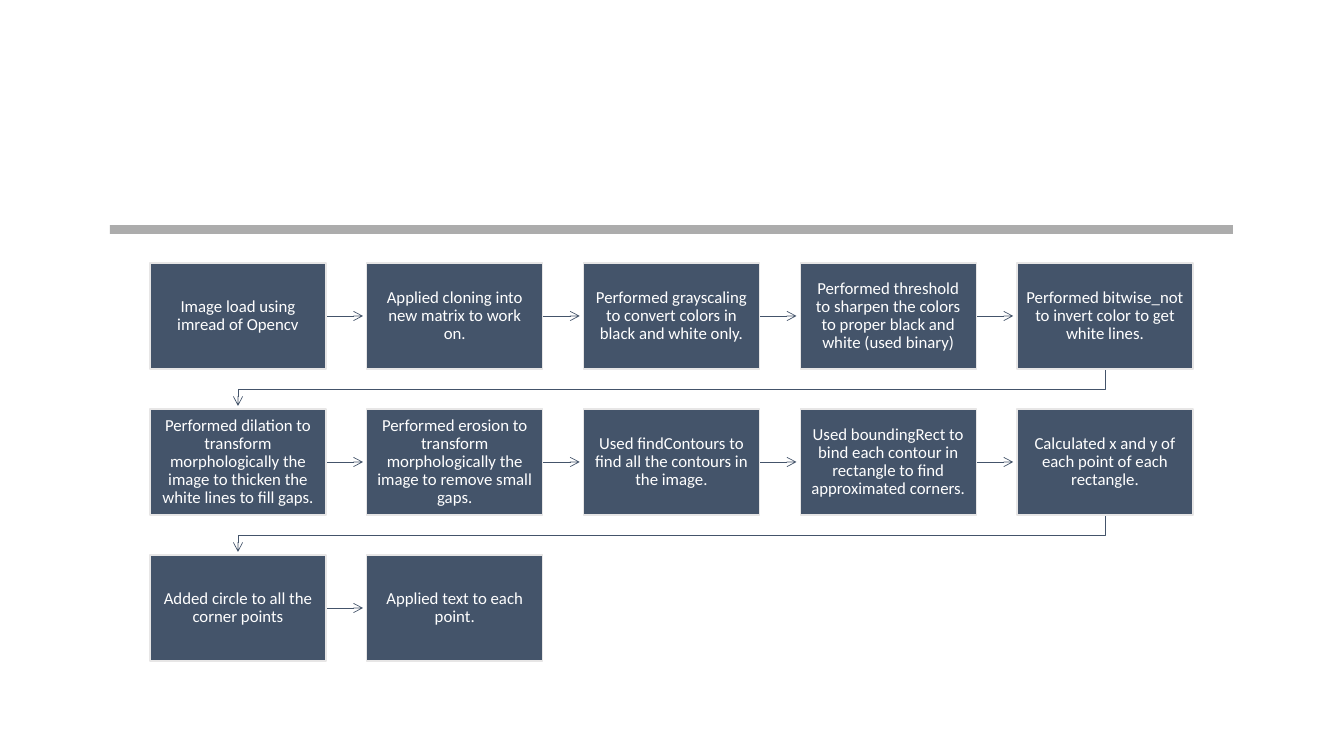
from lxml import etree
from pptx import Presentation
from pptx.dml.color import RGBColor
from pptx.enum.shapes import MSO_CONNECTOR, MSO_SHAPE
from pptx.enum.text import MSO_ANCHOR, PP_ALIGN
from pptx.oxml.ns import qn
from pptx.util import Pt

STRAIGHT = MSO_CONNECTOR.STRAIGHT
RECTANGLE = MSO_SHAPE.RECTANGLE
MIDDLE = MSO_ANCHOR.MIDDLE
CENTER = PP_ALIGN.CENTER

SLATE = RGBColor(0x44, 0x54, 0x6A)
PALE_GRAY = RGBColor(0xE7, 0xE6, 0xE6)
BAR_GRAY = RGBColor(0x80, 0x80, 0x80)
WHITE = RGBColor(0xFF, 0xFF, 0xFF)

SCALE = 914400 / 100.8
COLUMNS = 5
LEFT, TOP = 150, 263
BOX_WIDTH, BOX_HEIGHT = 176, 106
COLUMN_STEP, ROW_STEP = 216.75, 146
ARROW_LENGTH = 37
ARROW_GAP = 3
TURN_DROP = 20
PADDING = 9

STEPS = [
    "Image load using imread of Opencv",
    "Applied cloning into new matrix to work on.",
    "Performed grayscaling to convert colors in black and white only.",
    "Performed threshold to sharpen the colors to proper black and white (used binary)",
    "Performed bitwise_not to invert color to get white lines.",
    "Performed dilation to transform morphologically the image to thicken the white lines to fill gaps.",
    "Performed erosion to transform morphologically the image to remove small gaps.",
    "Used findContours to find all the contours in the image.",
    "Used boundingRect to bind each contour in rectangle to find approximated corners.",
    "Calculated x and y of each point of each rectangle.",
    "Added circle to all the corner points",
    "Applied text to each point.",
]


def px(*lengths):
    return [round(length * SCALE) for length in lengths]


def style_arrow(arrow):
    arrow.line.color.rgb = SLATE
    arrow.line.width = Pt(0.5)
    properties = arrow._element.spPr
    etree.SubElement(properties.find(qn("a:ln")), qn("a:tailEnd"), type="arrow")
    if properties.find(qn("a:effectLst")) is None:
        etree.SubElement(properties, qn("a:effectLst"))


presentation = Presentation()
presentation.slide_width, presentation.slide_height = px(1344, 756)
slide = presentation.slides.add_slide(presentation.slide_layouts[6])
shapes = slide.shapes

bar = shapes.add_shape(RECTANGLE, *px(110, 225, 1123, 9))
bar.shadow.inherit = False
bar.fill.solid()
bar.fill.fore_color.rgb = BAR_GRAY
bar.line.fill.background()
bar_color = bar._element.spPr.find(qn("a:solidFill")).find(qn("a:srgbClr"))
etree.SubElement(bar_color, qn("a:alpha"), val="65000")

for index, step in enumerate(STEPS):
    row, column = divmod(index, COLUMNS)
    left = LEFT + column * COLUMN_STEP
    top = TOP + row * ROW_STEP
    right, bottom = left + BOX_WIDTH, top + BOX_HEIGHT

    if index < len(STEPS) - 1:
        if column < COLUMNS - 1:
            middle = top + BOX_HEIGHT / 2
            arrow = shapes.add_connector(STRAIGHT, *px(right, middle, right + ARROW_LENGTH, middle))
        else:
            start = left + BOX_WIDTH / 2
            end = LEFT + BOX_WIDTH / 2
            turn = bottom + TURN_DROP
            builder = shapes.build_freeform(*px(start, bottom))
            builder.add_line_segments(
                [px(start, turn), px(end, turn), px(end, top + ROW_STEP - ARROW_GAP)], close=False
            )
            arrow = builder.convert_to_shape()
            arrow.fill.background()
            arrow.shadow.inherit = False
        style_arrow(arrow)

    box = shapes.add_shape(RECTANGLE, *px(left, top, BOX_WIDTH, BOX_HEIGHT))
    box.shadow.inherit = False
    box.fill.solid()
    box.fill.fore_color.rgb = SLATE
    box.line.color.rgb = PALE_GRAY
    box.line.width = Pt(1)
    frame = box.text_frame
    frame.text = step
    frame.word_wrap = True
    frame.vertical_anchor = MIDDLE
    frame.margin_left, frame.margin_top, frame.margin_right, frame.margin_bottom = px(*[PADDING] * 4)
    paragraph = frame.paragraphs[0]
    paragraph.alignment = CENTER
    paragraph.line_spacing = 0.9
    font = paragraph.runs[0].font
    font.name = "Calibri"
    font.size = Pt(12)
    font.color.rgb = WHITE

presentation.save("out.pptx")
